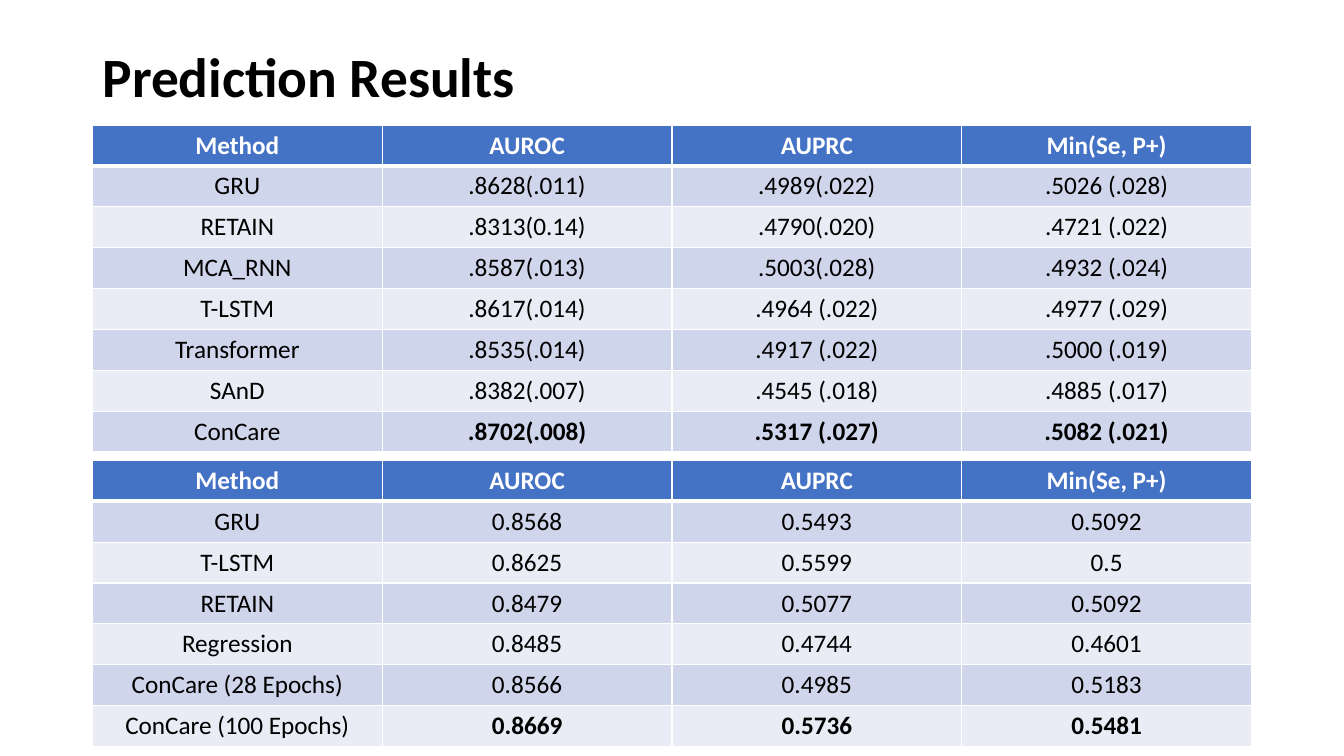
import pptx
import pptx.util
import pptx.dml.color
import pptx.enum.text
import pptx.oxml
import pptx.oxml.ns
import lxml.etree

Cm, Pt = pptx.util.Cm, pptx.util.Pt
ALIGN = pptx.enum.text.PP_ALIGN
ANCHOR = pptx.enum.text.MSO_ANCHOR

# Content
TITLE = "Prediction Results"
HEAD = ("Method", "AUROC", "AUPRC", "Min(Se, P+)")
PAPER = [
    ("GRU", ".8628(.011)", ".4989(.022)", ".5026 (.028)"),
    ("RETAIN", ".8313(0.14)", ".4790(.020)", ".4721 (.022)"),
    ("MCA_RNN", ".8587(.013)", ".5003(.028)", ".4932 (.024)"),
    ("T-LSTM", ".8617(.014)", ".4964 (.022)", ".4977 (.029)"),
    ("Transformer", ".8535(.014)", ".4917 (.022)", ".5000 (.019)"),
    ("SAnD", ".8382(.007)", ".4545 (.018)", ".4885 (.017)"),
    ("ConCare", ".8702(.008)", ".5317 (.027)", ".5082 (.021)"),
]
RERUN = [
    ("GRU", "0.8568", "0.5493", "0.5092"),
    ("T-LSTM", "0.8625", "0.5599", "0.5"),
    ("RETAIN", "0.8479", "0.5077", "0.5092"),
    ("Regression", "0.8485", "0.4744", "0.4601"),
    ("ConCare (28 Epochs)", "0.8566", "0.4985", "0.5183"),
    ("ConCare (100 Epochs)", "0.8669", "0.5736", "0.5481"),
]
COLORS = {"head": "4472C4", "odd": "CFD5EA", "even": "E9EBF5",
          "white": "FFFFFF", "black": "000000"}
FONT = "Calibri"

# Layout in cm
LEFT, WIDTH, ROW = 2.33, 29.21, 0.91
TABLES = [(3.15, PAPER), (11.6, RERUN)]  # top, rows


def rgb(name):
    return pptx.dml.color.RGBColor.from_string(COLORS[name])


def write(frame, text, size, color, bold, align):
    par = frame.paragraphs[0]
    par.alignment = align
    run = par.add_run()
    run.text = text
    font = run.font
    font.name, font.size, font.bold = FONT, Pt(size), bold
    font.color.rgb = rgb(color)
    return par


def border(cell, side, width):
    line = pptx.oxml.parse_xml(
        f'<a:{side} {pptx.oxml.ns.nsdecls("a")} w="{Pt(width)}"><a:solidFill>'
        f'<a:srgbClr val="{COLORS["white"]}"/></a:solidFill></a:{side}>')
    # Borders come before the fill in the cell properties
    props = cell._tc.get_or_add_tcPr()
    fill = props.find(pptx.oxml.ns.qn("a:solidFill"))
    fill.addprevious(line)


def table(slide, top, body):
    rows = [HEAD] + body
    last = len(rows) - 1
    grid = slide.shapes.add_table(len(rows), len(HEAD), Cm(LEFT), Cm(top),
                                  Cm(WIDTH), Cm(ROW * len(rows))).table
    for r, row in enumerate(rows):
        grid.rows[r].height = Cm(ROW)
        shade = "head" if r == 0 else "odd" if r % 2 else "even"
        for c, text in enumerate(row):
            cell = grid.cell(r, c)
            cell.fill.solid()
            cell.fill.fore_color.rgb = rgb(shade)
            # The best scores, in the last row, are bold like the header
            bold = r == 0 or (r == last and c > 0)
            write(cell.text_frame, text, 18, "black" if r else "white",
                  bold, ALIGN.CENTER)
            for side in ("lnL", "lnR", "lnT", "lnB"):
                thick = (r, side) in ((0, "lnB"), (1, "lnT"))
                border(cell, side, 3 if thick else 1)


# Slide
deck = pptx.Presentation()
deck.slide_width, deck.slide_height = Cm(33.87), Cm(19.05)
slide = deck.slides.add_slide(deck.slide_layouts[5])

# Title
title = slide.shapes.title
title.left, title.top = Cm(LEFT), Cm(1.17)
title.width, title.height = Cm(WIDTH), Cm(1.68)
frame = title.text_frame
frame.auto_size = pptx.enum.text.MSO_AUTO_SIZE.NONE
frame.vertical_anchor = ANCHOR.MIDDLE
write(frame, TITLE, 39.6, "black", True, ALIGN.LEFT).line_spacing = 0.9

# Result tables
for top, body in TABLES:
    table(slide, top, body)

deck.save("out.pptx")
